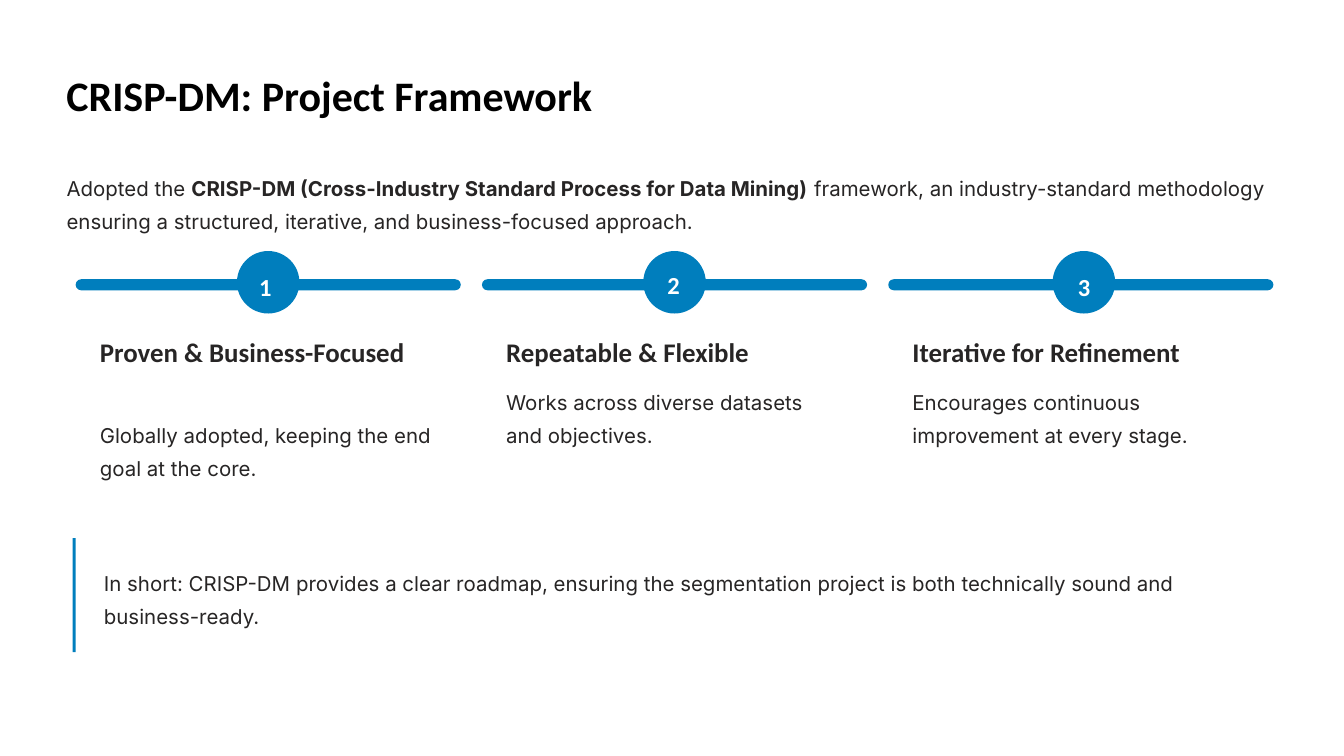
from dataclasses import dataclass

from lxml.etree import SubElement
from pptx import Presentation
from pptx.dml.color import RGBColor
from pptx.enum.shapes import MSO_SHAPE as Shape
from pptx.oxml.ns import qn
from pptx.util import Inches, Pt

COLORS = {"white": "FFFFFF", "black": "000000", "ink": "272525", "blue": "007EBD"}

STYLES = {
    "title": {"name": "Calibri", "size": Pt(30), "bold": True},
    "number": {"name": "Calibri", "size": Pt(17.5), "bold": True},
    "heading": {"name": "Calibri", "size": Pt(19.2), "bold": True},
    "body": {"name": "Inter", "size": Pt(14.6), "bold": False},
}
LINE_SPACING = {"title": 48.8, "number": 28.3, "heading": 24.2, "body": 23.8}
TEXT_COLORS = {"title": "black", "number": "white", "heading": "ink", "body": "ink"}

CARD_LEFT, CARD_PITCH, CARD_WIDTH = 0.75, 4.03, 3.82
CARD_PADDING = 0.24
BADGE_SIZE = 0.62


@dataclass
class Benefit:
    heading: str
    body: str
    badge_left: float
    number_left: float
    number_top: float
    heading_width: float
    heading_height: float = 0.34
    body_top: float = 3.78
    wrap_heading: bool = False


BENEFITS = [
    Benefit("Proven & Business-Focused",
            "Globally adopted, keeping the end goal at the core.",
            2.35, 2.57, 2.6, 3.36, 0.68, 4.11, True),
    Benefit("Repeatable & Flexible",
            "Works across diverse datasets and objectives.",
            6.38, 6.62, 2.58, 2.71),
    Benefit("Iterative for Refinement",
            "Encourages continuous improvement at every stage.",
            10.44, 10.69, 2.6, 3),
]

prs = Presentation()
prs.slide_width, prs.slide_height = Inches(13.33), Inches(7.5)
s = prs.slides.add_slide(prs.slide_layouts[6])


def add_block(kind: Shape, left: float, top: float, width: float, height: float,
              color: str, radius: float | None = None, opacity: int = 100) -> None:
    sp = s.shapes.add_shape(kind, *map(Inches, (left, top, width, height)))
    sp.shadow.inherit = False
    sp.line.fill.background()
    sp.fill.solid()
    sp.fill.fore_color.rgb = RGBColor.from_string(COLORS[color])
    if radius is not None:
        sp.adjustments[0] = radius
    if opacity < 100:
        clr = sp.fill._xPr.find(qn("a:solidFill"))[0]
        SubElement(clr, qn("a:alpha"), val=str(opacity * 1000))


def add_text(runs: list[str], style: str, left: float, top: float,
             width: float, height: float, wrap: bool = True) -> None:
    """Write runs in one paragraph; every second run is bold."""
    tf = s.shapes.add_textbox(*map(Inches, (left, top, width, height))).text_frame
    tf.word_wrap = wrap
    for side in ("left", "top", "right", "bottom"):
        setattr(tf, f"margin_{side}", 0)
    p = tf.paragraphs[0]
    p.line_spacing = Pt(LINE_SPACING[style])
    for i, text in enumerate(runs):
        r = p.add_run()
        r.text = text
        for key, value in STYLES[style].items():
            setattr(r.font, key, value)
        if i % 2:
            r.font.bold = True
        r.font.color.rgb = RGBColor.from_string(COLORS[TEXT_COLORS[style]])


# Title and introduction
add_text(["CRISP-DM: Project Framework"], "title", 0.66, 0.51, 8.66, 0.68, wrap=False)
add_text(["Adopted the ",
          "CRISP-DM (Cross-Industry Standard Process for Data Mining)",
          " framework, an industry-standard methodology ensuring a structured, "
          "iterative, and business-focused approach."],
         "body", 0.66, 1.66, 11.89, 0.66)

# Numbered benefit cards
for i, b in enumerate(BENEFITS):
    left = CARD_LEFT + i * CARD_PITCH
    text_left = left + CARD_PADDING
    add_block(Shape.ROUNDED_RECTANGLE, left, 2.8, CARD_WIDTH, 2.21, "white", 0.06, 95)
    add_block(Shape.ROUNDED_RECTANGLE, left, 2.77, CARD_WIDTH, 0.11, "blue", 0.5)
    add_block(Shape.ROUNDED_RECTANGLE, b.badge_left, 2.49, BADGE_SIZE, BADGE_SIZE,
              "blue", 0.5)
    add_text([str(i + 1)], "number", b.number_left, b.number_top, 0.25, 0.31, wrap=False)
    add_text([b.heading], "heading", text_left, 3.31, b.heading_width,
             b.heading_height, b.wrap_heading)
    add_text([b.body], "body", text_left, b.body_top, 3.36, 0.66)

# Summary with accent bar
add_text(["In short: CRISP-DM provides a clear roadmap, ensuring the segmentation "
          "project is both technically sound and business-ready."],
         "body", 1.03, 5.58, 11.58, 0.66)
add_block(Shape.RECTANGLE, 0.72, 5.34, 0.03, 1.13, "blue")

prs.save("out.pptx")
